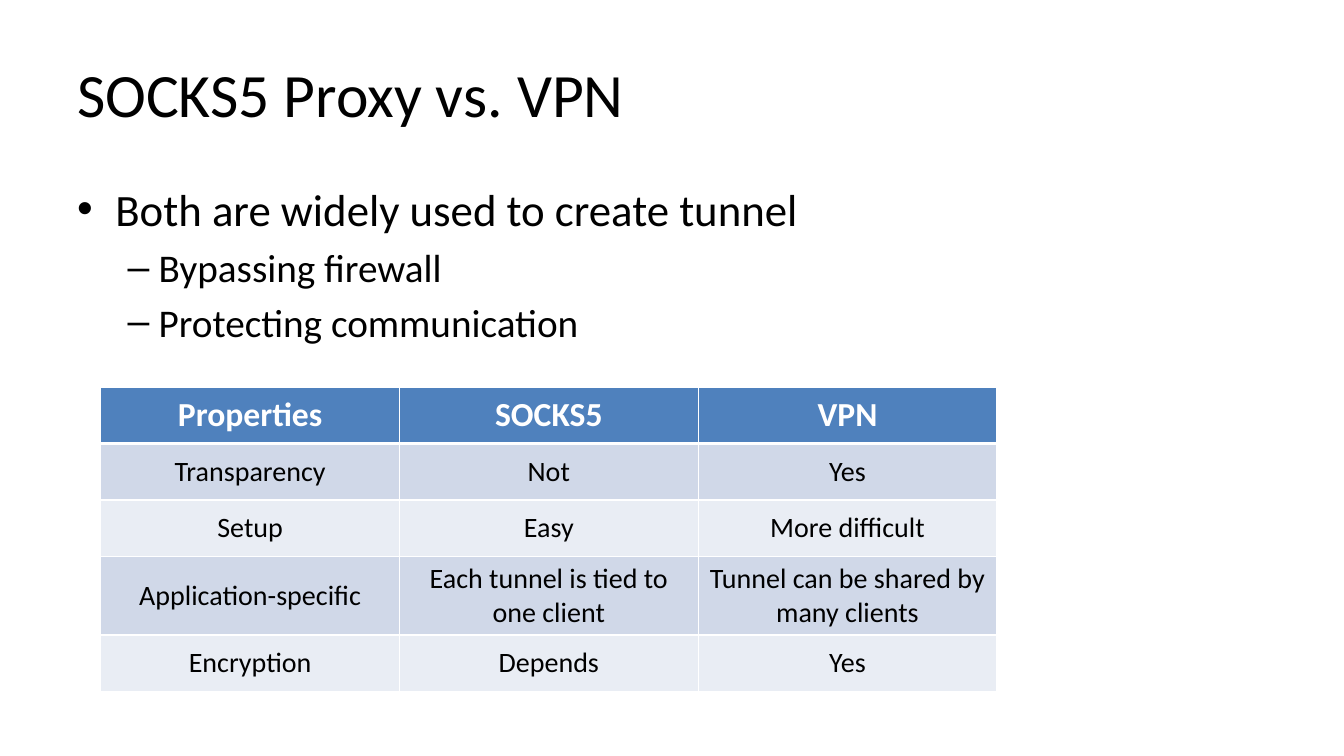
from lxml import etree
from pptx import Presentation, util as u
from pptx.dml.color import RGBColor
from pptx.enum import text
from pptx.oxml import ns

WIDE, HIGH = u.Inches(13.33), u.Inches(7.5)
FACE = "Calibri"
HUES = {"ink": "000000", "white": "FFFFFF", "head": "4F81BD",
        "odd": "D0D8E8", "even": "E9EDF4"}
LEVELS = [{"mark": "•", "size": 32, "left": 0.38, "hang": 0.38},
          {"mark": "–", "size": 28, "left": 0.81, "hang": 0.31}]
POINTS = [(0, "Both are widely used to create tunnel"),
          (1, "Bypassing firewall"),
          (1, "Protecting communication")]
ROWS = [("Properties", "SOCKS5", "VPN"),
        ("Transparency", "Not", "Yes"),
        ("Setup", "Easy", "More difficult"),
        ("Application-specific", "Each tunnel is tied to one client",
         "Tunnel can be shared by many clients"),
        ("Encryption", "Depends", "Yes")]
TALL = [0.56, 0.56, 0.56, 0.78, 0.56]


def hue(name):
    return RGBColor.from_string(HUES[name])


def style(para, size, ink="ink", bold=False):
    font = para.font
    font.name, font.size, font.bold = FACE, u.Pt(size), bold
    font.color.rgb = hue(ink)


def add_box(slide, top, high, anchor):
    box = slide.shapes.add_textbox(
        int(WIDE * 0.05), int(HIGH * top), int(WIDE * 0.9), int(HIGH * high))
    frame = box.text_frame
    frame.word_wrap = True
    frame.vertical_anchor = anchor
    return frame


def add_title(slide, words):
    frame = add_box(slide, 0.04, 1 / 6, text.MSO_ANCHOR.MIDDLE)
    frame.text = words
    style(frame.paragraphs[0], 44)


def add_list(slide, points):
    frame = add_box(slide, 0.2333, 0.66, text.MSO_ANCHOR.TOP)
    for i, (depth, words) in enumerate(points):
        para = frame.add_paragraph() if i else frame.paragraphs[0]
        level = LEVELS[depth]
        para.text, para.level = words, depth
        para.space_before = u.Pt(level["size"] * 0.2)
        style(para, level["size"])
        props = para._p.get_or_add_pPr()
        props.set("marL", str(u.Inches(level["left"])))
        props.set("indent", str(-u.Inches(level["hang"])))
        font = etree.Element(ns.qn("a:buFont"), typeface="Arial")
        mark = etree.Element(ns.qn("a:buChar"), char=level["mark"])
        props.find(ns.qn("a:defRPr")).addprevious(font)
        font.addnext(mark)


def add_edge(cell, side, width):
    line = etree.SubElement(cell._tc.get_or_add_tcPr(),
                            ns.qn("a:ln" + side), w=str(u.Pt(width)))
    fill = etree.SubElement(line, ns.qn("a:solidFill"))
    etree.SubElement(fill, ns.qn("a:srgbClr"), val=HUES["white"])


def fill_cell(cell, words, row):
    head = row == 0
    cell.text = words
    cell.vertical_anchor = text.MSO_ANCHOR.MIDDLE
    para = cell.text_frame.paragraphs[0]
    para.alignment = text.PP_ALIGN.CENTER
    style(para, 24 if head else 20, "white" if head else "ink", head)
    widths = {"L": 1, "R": 1, "T": 3 if row == 1 else 1, "B": 3 if head else 1}
    for side, width in widths.items():
        add_edge(cell, side, width)
    cell.fill.solid()
    cell.fill.fore_color.rgb = hue("head" if head else "odd" if row % 2 else "even")


def add_grid(slide, rows):
    grid = slide.shapes.add_table(
        len(rows), len(rows[0]), u.Inches(1), int(HIGH * 0.512),
        int(WIDE * 2 / 3), u.Inches(sum(TALL))).table
    grid.first_row = grid.horz_banding = False
    for r, row in enumerate(rows):
        grid.rows[r].height = u.Inches(TALL[r])
        for c, words in enumerate(row):
            fill_cell(grid.cell(r, c), words, r)


def main():
    deck = Presentation()
    deck.slide_width, deck.slide_height = WIDE, HIGH
    slide = deck.slides.add_slide(deck.slide_layouts[6])
    add_title(slide, "SOCKS5 Proxy vs. VPN")
    add_list(slide, POINTS)
    add_grid(slide, ROWS)
    deck.save("out.pptx")


main()
